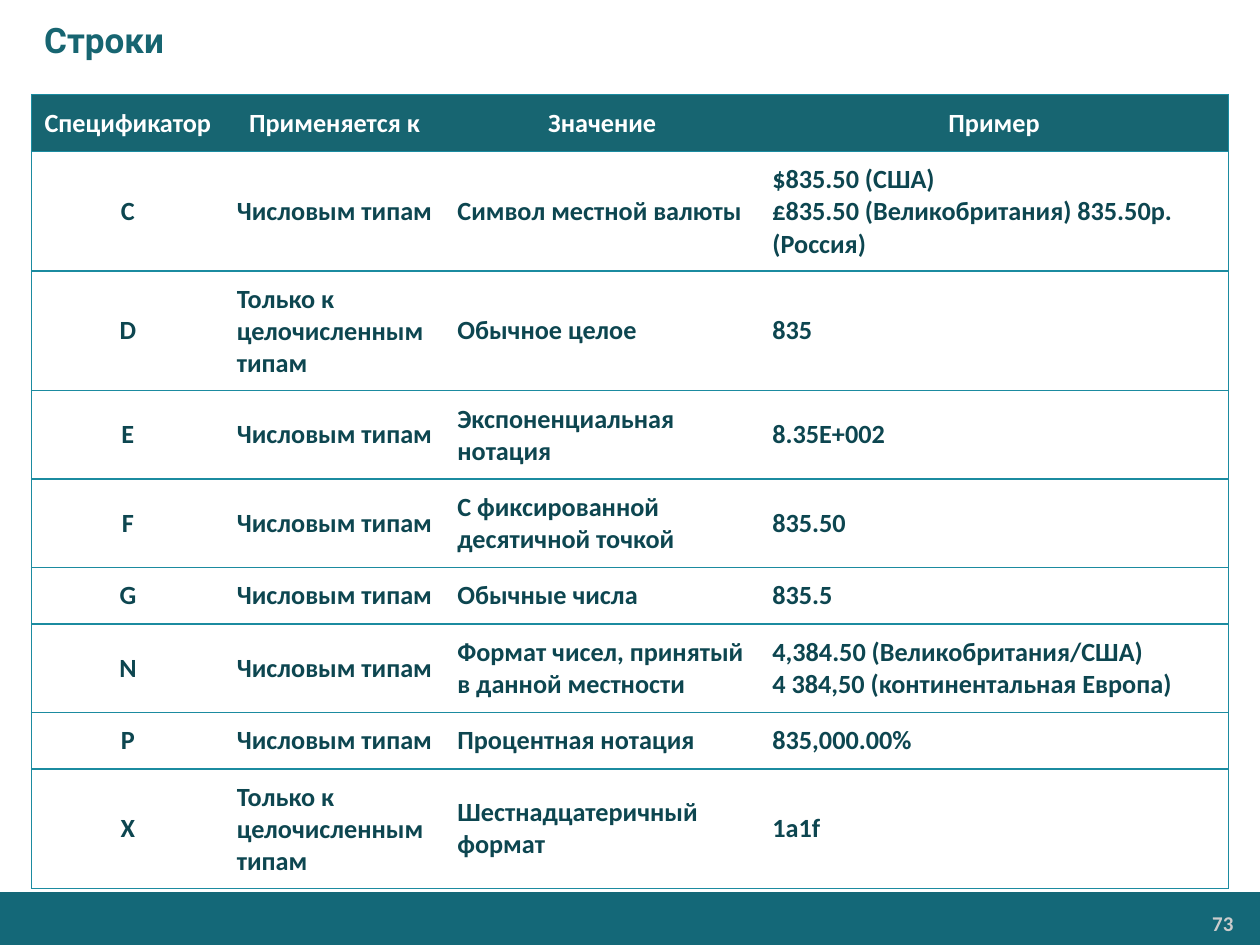
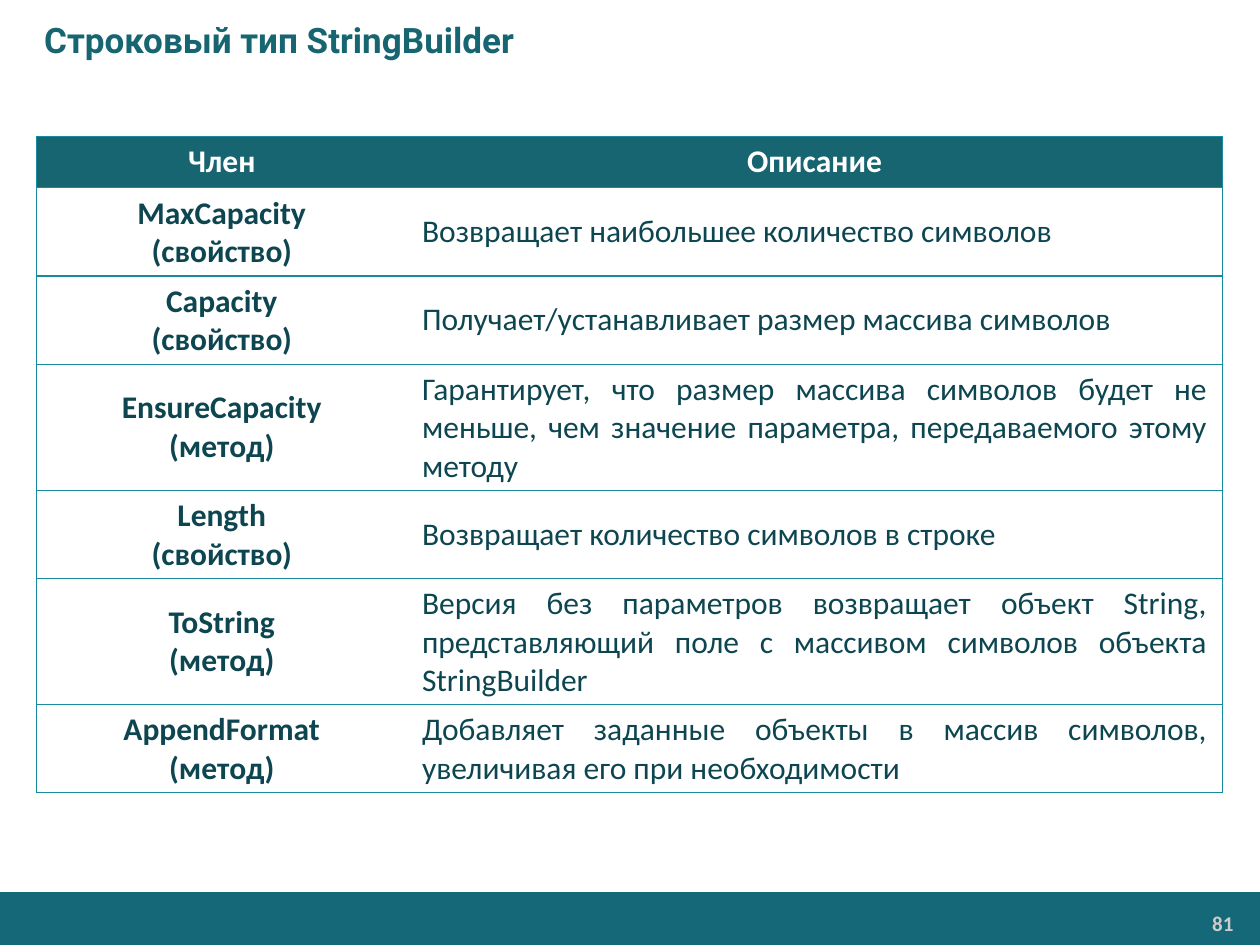
from dataclasses import dataclass

from lxml import etree
from pptx import Presentation
from pptx.dml.color import RGBColor
from pptx.enum.shapes import MSO_SHAPE
from pptx.enum.text import MSO_ANCHOR, PP_ALIGN
from pptx.oxml.ns import qn
from pptx.util import Inches, Pt

RECT = MSO_SHAPE.RECTANGLE
MIDDLE = MSO_ANCHOR.MIDDLE
LEFT, CENTER, RIGHT, FULL = PP_ALIGN.LEFT, PP_ALIGN.CENTER, PP_ALIGN.RIGHT, PP_ALIGN.JUSTIFY


@dataclass(frozen=True)
class Theme:
    head: str = "176571"
    band: str = "146878"
    ink: str = "0D4650"
    white: str = "FFFFFF"
    number: str = "CCCCCC"
    title_font: str = "Roboto"
    font: str = "Calibri"
    title_size: int = 20
    number_size: int = 12


@dataclass(frozen=True)
class Grid:
    box: tuple
    cols: list
    rows: list
    pad: tuple
    size: int
    line: str
    width: float
    align: LEFT
    bold: bool


THEME = Theme()

FORMATS = [
    ["Спецификатор", "Применяется к", "Значение", "Пример"],
    ["C", "Числовым типам", "Символ местной валюты",
     "$835.50 (США)\v£835.50 (Великобритания) 835.50р.(Россия)"],
    ["D", "Только к целочисленным типам", "Обычное целое", "835"],
    ["E", "Числовым типам", "Экспоненциальная нотация", "8.35Е+002"],
    ["F", "Числовым типам", "С фиксированной десятичной точкой", "835.50"],
    ["G", "Числовым типам", "Обычные числа", "835.5"],
    ["N", "Числовым типам", "Формат чисел, принятый в данной местности",
     "4,384.50 (Великобритания/США)\v4 384,50 (континентальная Европа)"],
    ["P", "Числовым типам", "Процентная нотация", "835,000.00%"],
    ["X", "Только к целочисленным типам", "Шестнадцатеричный формат", "1a1f"],
]

MEMBERS = [
    ["Член", "Описание"],
    ["MaxCapacity\n(свойство)", "Возвращает наибольшее количество символов"],
    ["Capacity\n(свойство)", "Получает/устанавливает размер массива символов"],
    ["EnsureCapacity\n(метод)",
     "Гарантирует, что размер массива символов будет не меньше, "
     "чем значение параметра, передаваемого этому методу"],
    ["Length\n(свойство)", "Возвращает количество символов в строке"],
    ["ToString\n(метод)",
     "Версия без параметров возвращает объект String, "
     "представляющий поле с массивом символов объекта StringBuilder"],
    ["AppendFormat\n(метод)",
     "Добавляет заданные объекты в массив символов, увеличивая его при необходимости"],
]

FORMAT_GRID = Grid(
    box=(0.25, 0.75, 9.5, 6.22), cols=[1.53, 1.75, 2.5, 3.72],
    rows=[0.43, 0.92, 0.87, 0.68, 0.68, 0.43, 0.61, 0.33, 0.92],
    pad=(0.1, 0.1), size=15, line="1B8BA0", width=1, align=LEFT, bold=True)
MEMBER_GRID = Grid(
    box=(0.29, 1.08, 9.42, 5.21), cols=[2.94, 6.47], rows=[0.41] * len(MEMBERS),
    pad=(0.12, 0.05), size=18, line="178AA0", width=0.75, align=FULL, bold=False)


def place(box):
    return [Inches(value) for value in box]


def write(frame, text, font, size, color, bold=True, align=LEFT):
    for index, line in enumerate(text.split("\n")):
        para = frame.paragraphs[0] if index == 0 else frame.add_paragraph()
        para.alignment = align
        for part, words in enumerate(line.split("\v")):
            if part:
                para.add_line_break()
            run = para.add_run()
            run.text = words
            run.font.name = font
            run.font.size = Pt(size)
            run.font.bold = bold
            run.font.color.rgb = RGBColor.from_string(color)


def add_title(slide, text, box):
    title = slide.shapes.title
    title.left, title.top, title.width, title.height = place(box)
    frame = title.text_frame
    frame.vertical_anchor = MIDDLE
    write(frame, text, THEME.title_font, THEME.title_size, THEME.head)
    props = frame.paragraphs[0]._p.get_or_add_pPr()
    props.set("marL", str(Inches(0.25)))
    props.set("indent", "0")


def add_footer(slide, number, box):
    left, top, width, height = box
    band = slide.shapes.add_shape(RECT, *place(box))
    band.shadow.inherit = False
    band.fill.solid()
    band.fill.fore_color.rgb = RGBColor.from_string(THEME.band)
    band.line.fill.background()
    label = slide.shapes.add_textbox(
        *place((left + width - 1.77, top + 0.11, 1.63, 0.28)))
    frame = label.text_frame
    frame.word_wrap = True
    frame.margin_left = frame.margin_right = Inches(0.07)
    frame.margin_top = frame.margin_bottom = Inches(0.04)
    write(frame, str(number), THEME.font, THEME.number_size, THEME.number, align=RIGHT)


def add_edge(cell, side, grid, shown):
    props = cell._tc.get_or_add_tcPr()
    edge = etree.SubElement(props, qn("a:ln" + side), w=str(Pt(grid.width)))
    if shown:
        fill = etree.SubElement(edge, qn("a:solidFill"))
        etree.SubElement(fill, qn("a:srgbClr"), val=grid.line)
    else:
        etree.SubElement(edge, qn("a:noFill"))


def style_cell(cell, text, grid, row, col):
    head, first = row == 0, col == 0
    last = col == len(grid.cols) - 1
    for side, shown in (("L", first), ("R", last), ("T", True), ("B", True)):
        add_edge(cell, side, grid, shown)
    cell.fill.solid()
    cell.fill.fore_color.rgb = RGBColor.from_string(THEME.head if head else THEME.white)
    cell.vertical_anchor = MIDDLE
    cell.margin_left = cell.margin_right = Inches(grid.pad[0])
    cell.margin_top = cell.margin_bottom = Inches(grid.pad[1])
    write(cell.text_frame, text, THEME.font, grid.size,
          THEME.white if head else THEME.ink,
          bold=head or first or grid.bold,
          align=CENTER if head or first else grid.align)


def add_grid(slide, data, grid):
    holder = slide.shapes.add_table(len(data), len(grid.cols), *place(grid.box))
    table = holder.table
    table.first_row = table.horz_banding = False
    for column, width in zip(table.columns, grid.cols):
        column.width = Inches(width)
    for row, height in zip(table.rows, grid.rows):
        row.height = Inches(height)
    holder.height = Inches(grid.box[3])
    for row, texts in enumerate(data):
        for col, text in enumerate(texts):
            style_cell(table.cell(row, col), text, grid, row, col)


def add_page(deck, title, number, data, grid):
    slide = deck.slides.add_slide(deck.slide_layouts[5])
    add_footer(slide, number, (0, 7.08, 10, 0.42))
    add_title(slide, title, (0, 0, 10, 0.63))
    add_grid(slide, data, grid)


def main():
    deck = Presentation()
    deck.slide_width, deck.slide_height = Inches(10), Inches(7.5)
    add_page(deck, "Строки", 73, FORMATS, FORMAT_GRID)
    add_page(deck, "Строковый тип StringBuilder", 81, MEMBERS, MEMBER_GRID)
    deck.save("out.pptx")


if __name__ == "__main__":
    main()
